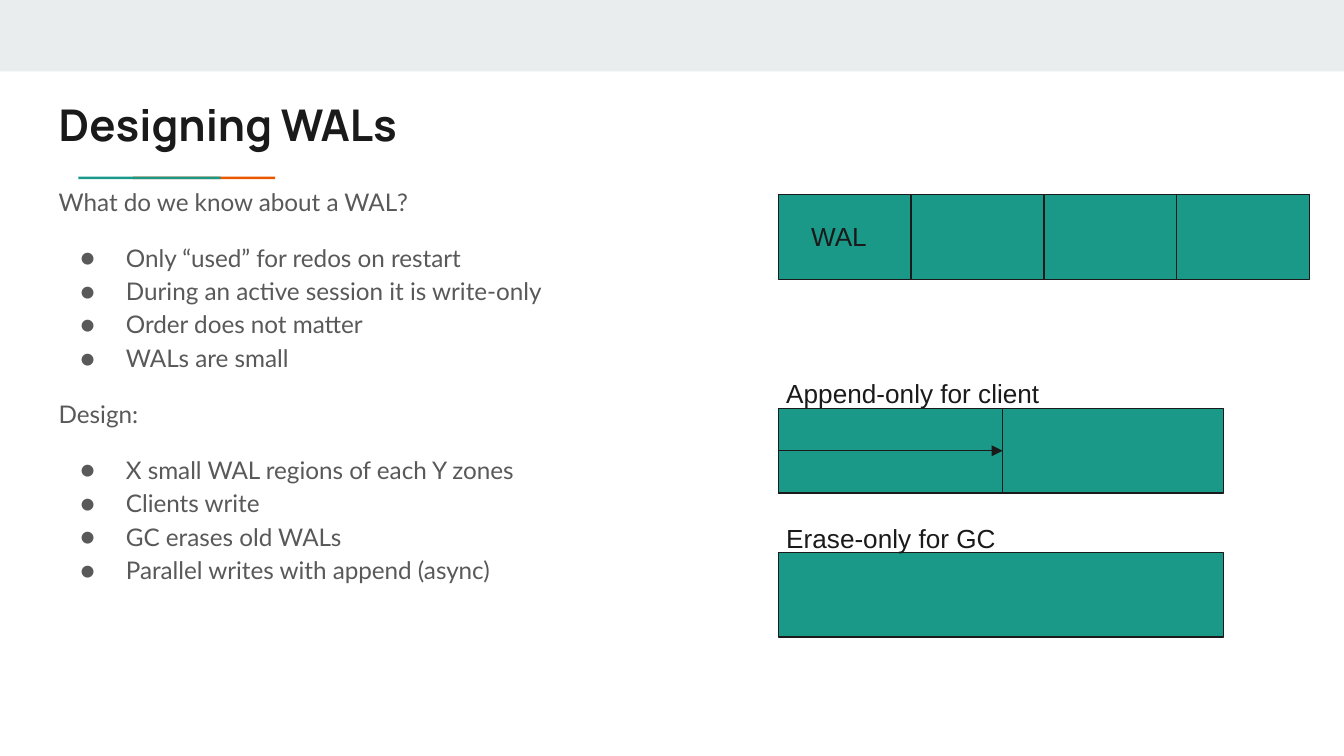
from lxml import etree
from pptx import Presentation
from pptx.dml.color import RGBColor
from pptx.enum.shapes import MSO_CONNECTOR, MSO_SHAPE
from pptx.enum.text import MSO_ANCHOR, MSO_AUTO_SIZE, PP_ALIGN
from pptx.oxml.ns import qn
from pptx.util import Cm, Pt

RECTANGLE = MSO_SHAPE.RECTANGLE
STRAIGHT = MSO_CONNECTOR.STRAIGHT
TOP, MIDDLE = MSO_ANCHOR.TOP, MSO_ANCHOR.MIDDLE
NO_AUTOFIT = MSO_AUTO_SIZE.NONE
LEFT, CENTER = PP_ALIGN.LEFT, PP_ALIGN.CENTER
LEFT_SIDE, RIGHT_SIDE = 1, 3

INK, GRAY, TEAL = "1A1A1A", "595959", "1A9988"
ORANGE, PALE = "EB5600", "E9EDEE"

SECTIONS = [
    ("What do we know about a WAL?", [
        "Only “used” for redos on restart",
        "During an active session it is write-only",
        "Order does not matter",
        "WALs are small",
    ]),
    ("Design:", [
        "X small WAL regions of each Y zones",
        "Clients write",
        "GC erases old WALs",
        "Parallel writes with append (async)",
    ]),
]


def color(hex_text):
    return RGBColor.from_string(hex_text)


def write(paragraph, text, size=14, font="Arial", ink=INK, bold=False,
          align=LEFT, before=0, spacing=1.0):
    paragraph.alignment = align
    paragraph.space_before = Pt(before)
    paragraph.line_spacing = spacing
    run = paragraph.add_run()
    run.text = text
    run.font.size = Pt(size)
    run.font.name = font
    run.font.bold = bold
    run.font.color.rgb = color(ink)


def set_bullet(paragraph, bulleted):
    properties = paragraph._p.get_or_add_pPr()
    properties.set("marL", str(Cm(1.27) if bulleted else 0))
    properties.set("indent", str(Cm(-0.86) if bulleted else 0))
    if not bulleted:
        etree.SubElement(properties, qn("a:buNone"))
        return
    bullet_color = etree.SubElement(properties, qn("a:buClr"))
    etree.SubElement(bullet_color, qn("a:srgbClr"), val=GRAY)
    etree.SubElement(properties, qn("a:buFont"), typeface="Lato")
    etree.SubElement(properties, qn("a:buChar"), char="●")


class SlideBuilder:
    """Holds the current slide and draws styled elements; lengths are in cm."""

    def __init__(self, slide):
        self.slide = slide
        self.inset = Cm(0.25)
        self.line_width = Pt(0.75)

    def frame(self, shape, anchor=TOP):
        """Give a text shape the common margins, wrapping and anchor."""
        frame = shape.text_frame
        frame.margin_left = frame.margin_right = self.inset
        frame.margin_top = frame.margin_bottom = self.inset
        frame.word_wrap = True
        frame.auto_size = NO_AUTOFIT
        frame.vertical_anchor = anchor
        return frame

    def placeholder(self, index, left, top, width, height, anchor=TOP):
        shape = self.slide.placeholders[index]
        shape.left, shape.top = Cm(left), Cm(top)
        shape.width, shape.height = Cm(width), Cm(height)
        return self.frame(shape, anchor)

    def title(self, text):
        frame = self.placeholder(0, 0.86, 1.6, 21.36, 1.5, MIDDLE)
        write(frame.paragraphs[0], text, size=23.4, font="Manrope", bold=True)

    def body(self, sections):
        frame = self.placeholder(1, 0.86, 3.2, 13.34, 9.5)
        paragraph = frame.paragraphs[0]
        for number, (heading, items) in enumerate(sections):
            for position, text in enumerate([heading, *items]):
                if number or position:
                    paragraph = frame.add_paragraph()
                set_bullet(paragraph, position > 0)
                starts_block = position == 1 or (position == 0 and number > 0)
                write(paragraph, text, size=13, font="Lato", ink=GRAY,
                      before=12 if starts_block else 0, spacing=1.15)

    def rectangle(self, left, top, width, height, fill=TEAL, outlined=False):
        shape = self.slide.shapes.add_shape(
            RECTANGLE, Cm(left), Cm(top), Cm(width), Cm(height))
        shape.shadow.inherit = False
        shape.fill.solid()
        shape.fill.fore_color.rgb = color(fill)
        if outlined:
            shape.line.color.rgb = color(INK)
            shape.line.width = self.line_width
        else:
            shape.line.fill.background()
        return shape

    def region(self, left, top, width):
        return self.rectangle(left, top, width, 1.6, outlined=True)

    def arrow_across(self, shape):
        """Draw an arrow from the left side of a rectangle to its right side."""
        connector = self.slide.shapes.add_connector(STRAIGHT, 0, 0, 0, 0)
        connector.begin_connect(shape, LEFT_SIDE)
        connector.end_connect(shape, RIGHT_SIDE)
        connector.line.color.rgb = color(INK)
        connector.line.width = self.line_width
        etree.SubElement(connector.line._get_or_add_ln(), qn("a:tailEnd"),
                         type="triangle")
        etree.SubElement(connector._element.spPr, qn("a:effectLst"))

    def label(self, text, left, top, width, align=LEFT):
        box = self.slide.shapes.add_textbox(
            Cm(left), Cm(top), Cm(width), Cm(1.12))
        write(self.frame(box).paragraphs[0], text, align=align)


def main():
    presentation = Presentation()
    presentation.slide_width, presentation.slide_height = Cm(25.4), Cm(14.29)
    slide = presentation.slides.add_slide(presentation.slide_layouts[1])
    builder = SlideBuilder(slide)

    builder.rectangle(0, 0, 25.4, 1.35, PALE)
    for left, fill in ((2.51, ORANGE), (1.48, TEAL)):
        builder.rectangle(left, 3.34, 2.69, 0.05, fill)
    builder.title("Designing WALs")
    builder.body(SECTIONS)

    diagram_left, cell_width, region_width = 14.71, 2.51, 8.41
    for column in range(4):
        builder.region(diagram_left + column * cell_width, 3.68, cell_width)
    builder.label("WAL", diagram_left, 3.91, 2.29, CENTER)

    builder.region(diagram_left, 7.72, region_width)
    written_part = builder.region(diagram_left, 7.72, 4.24)
    builder.arrow_across(written_part)
    builder.label("Append-only for client", 14.61, 6.88, 6.71)

    builder.region(diagram_left, 10.44, region_width)
    builder.label("Erase-only for GC", 14.61, 9.63, 5.36)

    presentation.save("out.pptx")


if __name__ == "__main__":
    main()
